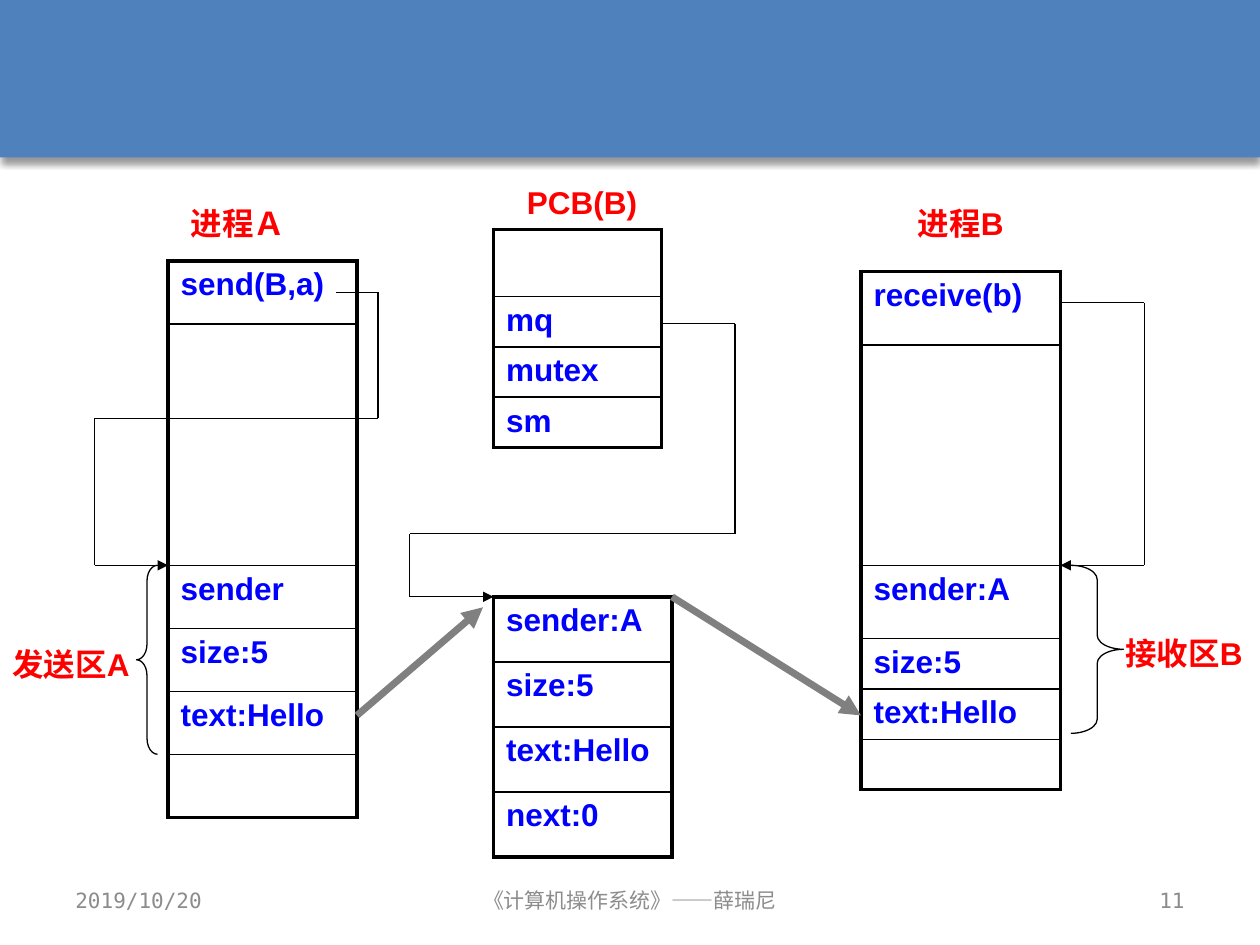
from itertools import pairwise

from lxml import etree
from pptx import Presentation
from pptx import util as u
from pptx.dml.color import RGBColor
from pptx.enum import shapes, text
from pptx.oxml.ns import qn

COLORS = {"bar": "4F81BD", "ink": "000000", "code": "0000FF",
          "label": "FF0000", "copy": "808080", "footer": "8C8C8C"}
WIDTH, HEIGHT = 10, 7.5
TOP = 0.07  # inches above the first grid row
ALIGN = text.PP_ALIGN


def span(units):
    """Length of a number of grid units, twelve to the inch."""
    return u.Inches(units / 12)


def down(row):
    """Vertical position of a grid row."""
    return u.Inches(TOP + row / 12)


def rgb(name):
    """Colour object for a palette name."""
    return RGBColor.from_string(COLORS[name])


def add_xml(parent, tag, **attributes):
    """Append a DrawingML element and return it."""
    return etree.SubElement(parent, qn(tag), attributes)


class Diagram:
    """Style and slide of the message-passing diagram."""

    def __init__(self, slide):
        self.slide = slide
        self.shapes = slide.shapes

    def style(self, paragraph, color, size=18, font="Arial", bold=True):
        """Set the font of a whole paragraph."""
        paragraph.font.name = font
        paragraph.font.size = u.Pt(size)
        paragraph.font.bold = bold
        paragraph.font.color.rgb = rgb(color)

    def header(self):
        """Draw the top bar with its soft shadow."""
        bar = self.shapes.add_shape(shapes.MSO_SHAPE.RECTANGLE, 0, 0,
                                    u.Inches(WIDTH), u.Inches(HEIGHT / 6))
        bar.fill.solid()
        bar.fill.fore_color.rgb = rgb("bar")
        bar.line.fill.background()
        bar.shadow.inherit = False
        effects = bar._element.spPr.find(qn("a:effectLst"))
        shadow = add_xml(effects, "a:outerShdw", blurRad=str(u.Pt(4)),
                         dist=str(u.Pt(3)), dir="5400000", rotWithShape="0")
        color = add_xml(shadow, "a:srgbClr", val=COLORS["ink"])
        add_xml(color, "a:alpha", val="40000")

    def text(self, words, column, row, columns, color="label",
             align=ALIGN.LEFT, anchor=text.MSO_ANCHOR.TOP, **font):
        """Add one line of text on the grid."""
        box = self.shapes.add_textbox(span(column), down(row),
                                      span(columns), u.Inches(0.4))
        frame = box.text_frame
        frame.word_wrap = True
        frame.vertical_anchor = anchor
        paragraph = frame.paragraphs[0]
        paragraph.text = words
        paragraph.alignment = align
        self.style(paragraph, color, **font)

    def border(self, cell, first, last):
        """Outline a cell, thicker on the outside of its table."""
        properties = cell._tc.get_or_add_tcPr()
        widths = {"L": 2.25, "R": 2.25, "T": 2.25 if first else 1,
                  "B": 2.25 if last else 1}
        for side, width in widths.items():
            line = add_xml(properties, f"a:ln{side}", w=str(u.Pt(width)))
            fill = add_xml(line, "a:solidFill")
            add_xml(fill, "a:srgbClr", val=COLORS["ink"])
        cell.fill.background()

    def memory(self, column, row, columns, cells):
        """Add a one-column memory table from (words, rows) pairs."""
        total = sum(rows for _, rows in cells)
        table = self.shapes.add_table(len(cells), 1, span(column), down(row),
                                      span(columns), span(total)).table
        table.first_row = table.horz_banding = False
        for index, (words, rows) in enumerate(cells):
            table.rows[index].height = span(rows)
            cell = table.cell(index, 0)
            paragraph = cell.text_frame.paragraphs[0]
            paragraph.text = words
            self.style(paragraph, "code")
            self.border(cell, index == 0, index == len(cells) - 1)

    def route(self, *points, color="ink", width=0.75, arrow=True):
        """Join grid points by lines, with an arrowhead on the last."""
        for start, end in pairwise(points):
            line = self.shapes.add_connector(
                shapes.MSO_CONNECTOR.STRAIGHT, span(start[0]), down(start[1]),
                span(end[0]), down(end[1]))
            line.line.color.rgb = rgb(color)
            line.line.width = u.Pt(width)
            add_xml(line._element.spPr, "a:effectLst")
        if arrow:
            add_xml(line.line._get_or_add_ln(), "a:tailEnd", type="triangle")

    def brace(self, kind, column, row, columns, rows, curl):
        """Add a brace beside a buffer."""
        brace = self.shapes.add_shape(kind, span(column), down(row),
                                      span(columns), span(rows))
        brace.adjustments[0] = curl
        brace.fill.background()
        brace.line.color.rgb = rgb("ink")
        brace.line.width = u.Pt(0.75)
        brace.shadow.inherit = False


presentation = Presentation()
presentation.slide_width = u.Inches(WIDTH)
presentation.slide_height = u.Inches(HEIGHT)
diagram = Diagram(presentation.slides.add_slide(presentation.slide_layouts[6]))
diagram.header()

# Processes, control block and message buffer
diagram.memory(16, 24, 18, [("send(B,a)", 6), ("", 9), ("", 14), ("sender", 6),
                            ("size:5", 6), ("text:Hello", 6), ("", 6)])
diagram.memory(47, 21, 16, [("", 6.4), ("mq", 4.8), ("mutex", 4.8), ("sm", 4.8)])
diagram.memory(47, 56, 17, [(words, 6.2) for words in
                            ("sender:A", "size:5", "text:Hello", "next:0")])
diagram.memory(82, 25, 19, [("receive(b)", 7), ("", 21), ("sender:A", 7),
                            ("size:5", 4.8), ("text:Hello", 4.8), ("", 4.8)])

# Pointers
diagram.route((101, 28), (109, 28), (109, 53), (101, 53))
diagram.route((63, 30), (70, 30), (70, 50), (39, 50), (39, 56), (47, 56))
diagram.route((32, 27), (36, 27), (36, 39), (29, 39), arrow=False)
diagram.route((16, 39), (9, 39), (9, 53), (16, 53))

# Message copies
for start, end in [((34, 67.3), (46, 57)), ((64, 56), (82, 67.3))]:
    diagram.route(start, end, color="copy", width=4)

diagram.brace(shapes.MSO_SHAPE.LEFT_BRACE, 13, 53, 2, 18, 0.75)
diagram.brace(shapes.MSO_SHAPE.RIGHT_BRACE, 102, 53, 5, 16, 0.27)

diagram.text("进程Ａ", 17, 18, 14)
diagram.text("PCB(B)", 49, 16, 18)
diagram.text("进程B", 81, 18, 21, align=ALIGN.CENTER)
diagram.text("发送区A", 0, 60, 15)
diagram.text("接收区B", 106, 59, 14)

for words, column, columns, align in [
        ("2019/10/20", 6, 28, ALIGN.LEFT),
        ("《计算机操作系统》——薛瑞尼", 34, 52, ALIGN.CENTER),
        ("11", 86, 28, ALIGN.RIGHT)]:
    diagram.text(words, column, 82.5, columns, "footer", align,
                 text.MSO_ANCHOR.MIDDLE, size=12, font="DejaVu Sans Mono",
                 bold=False)

presentation.save("out.pptx")
